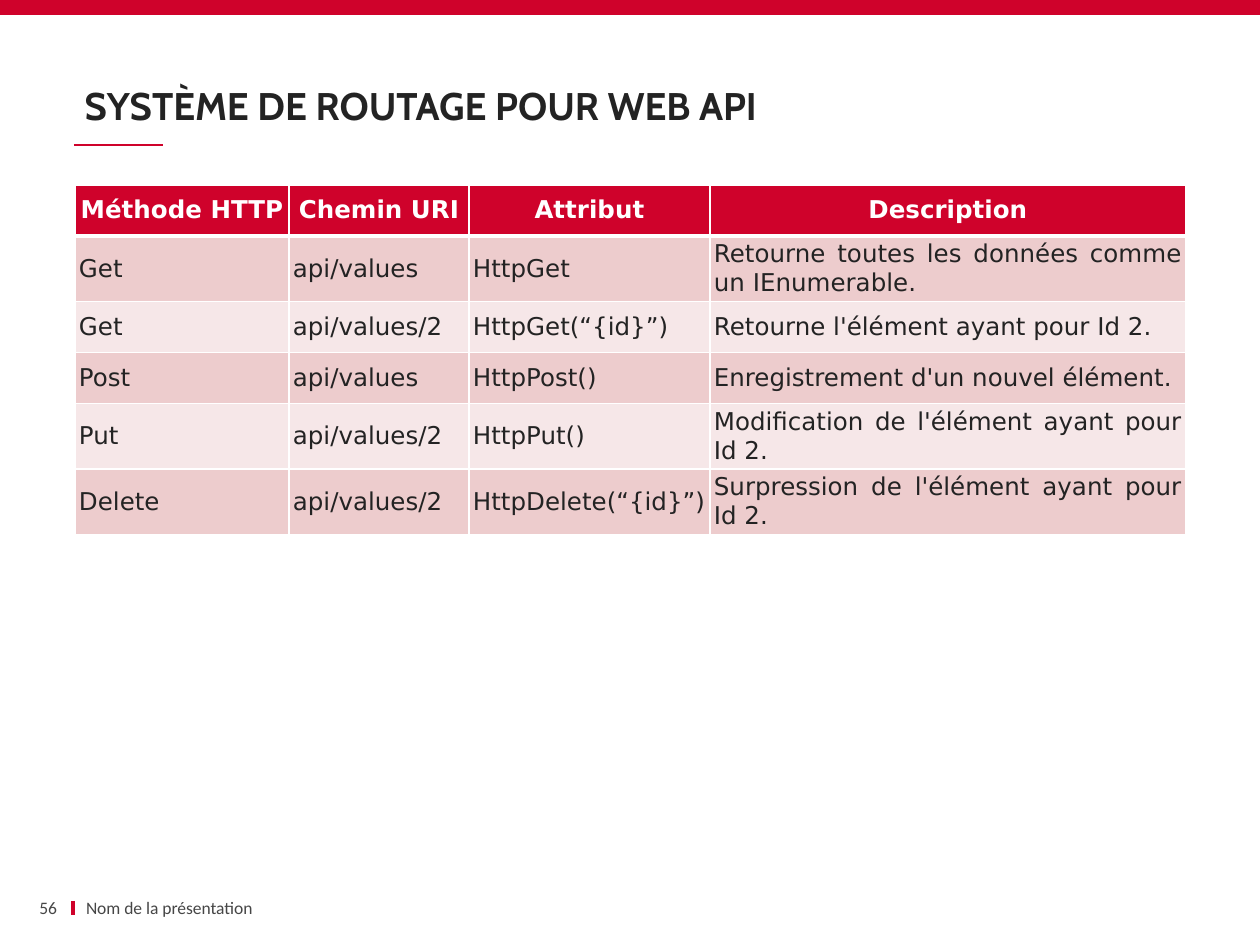
from lxml.etree import SubElement
from pptx import Presentation
from pptx.dml.color import RGBColor
from pptx.enum.shapes import MSO_CONNECTOR, MSO_SHAPE
from pptx.enum.text import MSO_ANCHOR as Anchor, MSO_AUTO_SIZE as AutoSize, PP_ALIGN as Align
from pptx.oxml.ns import qn
from pptx.util import Emu, Pt

EMU_PER_PX = 914400 // 126
COLORS = {
    "red": "CF022B",
    "dark": "232323",
    "grey": "464646",
    "white": "FFFFFF",
    "band_strong": "EDCCCD",
    "band_light": "F6E7E8",
}
HEADERS = ["Méthode HTTP", "Chemin URI", "Attribut", "Description"]
ROUTES = [
    ["Get", "api/values", "HttpGet", "Retourne toutes les données comme un IEnumerable."],
    ["Get", "api/values/2", "HttpGet(“{id}”)", "Retourne l'élément ayant pour Id 2."],
    ["Post", "api/values", "HttpPost()", "Enregistrement d'un nouvel élément."],
    ["Put", "api/values/2", "HttpPut()", "Modification de l'élément ayant pour Id 2."],
    ["Delete", "api/values/2", "HttpDelete(“{id}”)", "Surpression de l'élément ayant pour Id 2."],
]


def px(value):
    return Emu(value * EMU_PER_PX)


def rgb(name):
    return RGBColor.from_string(COLORS[name])


class SlideBuilder:
    """Hold the style and the current slide, and draw each kind of element."""

    title_font, footer_font, table_font = "Cabin", "Calibri", "DejaVu Sans"

    def __init__(self, slide):
        self.slide = slide

    def add_text(self, paragraph, text, font, size, color, bold=False, align=Align.LEFT):
        paragraph.alignment = align
        run = paragraph.add_run()
        run.text = text
        run.font.name, run.font.size, run.font.bold = font, Pt(size), bold
        run.font.color.rgb = rgb(color)

    def frame(self, shape, anchor, side):
        frame = shape.text_frame
        frame.word_wrap, frame.auto_size = True, AutoSize.NONE
        frame.vertical_anchor = anchor
        frame.margin_left = frame.margin_right = px(side)
        frame.margin_top = frame.margin_bottom = px(6)
        return frame.paragraphs[0]

    def title(self, text, left, top, width, height):
        shape = self.slide.shapes.title
        shape.left, shape.top, shape.width, shape.height = map(px, (left, top, width, height))
        paragraph = self.frame(shape, Anchor.BOTTOM, 0)
        paragraph.line_spacing = 0.9
        self.add_text(paragraph, text, self.title_font, 22, "dark", bold=True)

    def label(self, text, left, top, width, height, side, align=Align.LEFT):
        shape = self.slide.shapes.add_textbox(*map(px, (left, top, width, height)))
        paragraph = self.frame(shape, Anchor.MIDDLE, side)
        self.add_text(paragraph, text, self.footer_font, 10, "grey", align=align)

    def band(self, left, top, width, height):
        shape = self.slide.shapes.add_shape(MSO_SHAPE.RECTANGLE, *map(px, (left, top, width, height)))
        shape.shadow.inherit = False
        shape.fill.solid()
        shape.fill.fore_color.rgb = rgb("red")
        shape.line.fill.background()

    def line(self, start_x, start_y, end_x, end_y, weight):
        connector = self.slide.shapes.add_connector(
            MSO_CONNECTOR.STRAIGHT, *map(px, (start_x, start_y, end_x, end_y)))
        connector.line.color.rgb = rgb("red")
        connector.line.width = Pt(weight)
        SubElement(connector._element.spPr, qn("a:effectLst"))

    def borders(self, cell, top, bottom):
        properties = cell._tc.get_or_add_tcPr()
        for side, weight in (("L", 1), ("R", 1), ("T", top), ("B", bottom)):
            edge = SubElement(properties, qn(f"a:ln{side}"), w=str(Pt(weight)))
            SubElement(SubElement(edge, qn("a:solidFill")), qn("a:srgbClr"), val=COLORS["white"])

    def cell(self, cell, text, row):
        header = row == 0
        self.borders(cell, 3 if row == 1 else 1, 3 if header else 1)
        cell.fill.solid()
        cell.fill.fore_color.rgb = rgb("red" if header else "band_strong" if row % 2 else "band_light")
        cell.vertical_anchor = Anchor.MIDDLE
        cell.margin_left = cell.margin_right = cell.margin_top = cell.margin_bottom = px(4)
        self.add_text(cell.text_frame.paragraphs[0], text, self.table_font, 14,
                      "white" if header else "dark", header, Align.CENTER if header else Align.JUSTIFY)

    def table(self, rows, left, top, widths, row_height):
        table = self.slide.shapes.add_table(
            len(rows), len(widths), px(left), px(top), px(sum(widths)), px(row_height * len(rows))).table
        for column, width in zip(table.columns, widths):
            column.width = px(width)
        for row, texts in enumerate(rows):
            for column, text in enumerate(texts):
                self.cell(table.cell(row, column), text, row)


def main():
    presentation = Presentation()
    presentation.slide_width, presentation.slide_height = px(1260), px(945)
    builder = SlideBuilder(presentation.slides.add_slide(presentation.slide_layouts[5]))
    builder.line(73, 901, 73, 915, 2.25)
    builder.line(74, 145, 163, 145, 1)
    builder.band(0, 0, 1260, 15)
    builder.title(" SYSTÈME DE ROUTAGE POUR WEB API", 76, 26, 1109, 109)
    builder.label("Nom de la présentation", 73, 896, 626, 23, 13)
    builder.label("56", 16, 896, 41, 23, 0, Align.RIGHT)
    builder.table([HEADERS] + ROUTES, 75, 185, [214, 180, 241, 476], 51)
    presentation.save("out.pptx")


if __name__ == "__main__":
    main()
